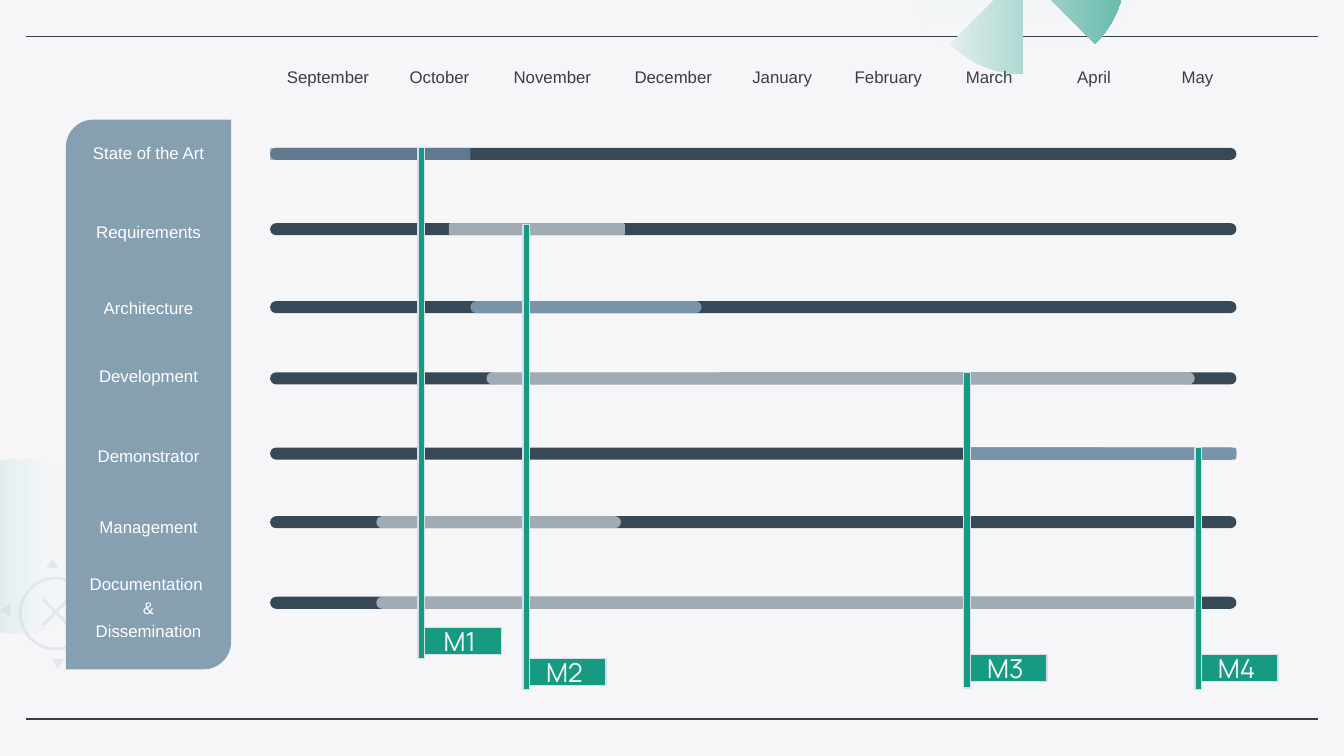
import math

import pptx
import pptx.dml.color
import pptx.enum.shapes
import pptx.enum.text
import pptx.oxml
import pptx.oxml.ns
import pptx.util
from pptx.dml.color import RGBColor
from pptx.util import Inches

SHAPE = pptx.enum.shapes.MSO_SHAPE
ANCHOR = pptx.enum.text.MSO_ANCHOR
BACKGROUND = RGBColor(0xF6, 0xF6, 0xF8)
INK = RGBColor(0x35, 0x3F, 0x49)
WHITE = RGBColor(0xFF, 0xFF, 0xFF)
CARD = RGBColor(0x86, 0x9F, 0xB1)
TRACK = RGBColor(0x37, 0x49, 0x57)
BLUE = RGBColor(0x79, 0x94, 0xA9)
MIST = RGBColor(0xD7, 0xDF, 0xE5)
PALE = RGBColor(0xD6, 0xDE, 0xEB)
GREEN = RGBColor(0x16, 0x9B, 0x82)
MINT = RGBColor(0x68, 0xBA, 0xAC)

TRACK_LEFT, TRACK_RIGHT, BAR_HEIGHT = 2.01, 9.2, 0.09

MONTHS = [
    ("September", 2.44), ("October", 3.27), ("November", 4.11),
    ("December", 5.01), ("January", 5.82), ("February", 6.61),
    ("March", 7.36), ("April", 8.14), ("May", 8.91),
]
# name, label top, line spacing, bar top, start, end, colour, opacity, rounding
TASKS = [
    ("State of the Art", 1.06, 1, 1.1, 2.01, 3.5, BLUE, 65, 0.05),
    ("Requirements", 1.63, 1.15, 1.66, 3.34, 4.65, MIST, 66, 0.15),
    ("Architecture", 2.19, 1.15, 2.24, 3.5, 5.22, BLUE, 100, 0.5),
    ("Development", 2.72, 1, 2.77, 3.62, 8.89, MIST, 66, 0.5),
    ("Demonstrator", 3.29, 1.15, 3.33, 7.17, 9.2, BLUE, 100, 0.2),
    ("Management", 3.82, 1.15, 3.84, 2.8, 4.62, MIST, 66, 0.5),
    ("Documentation \n&\nDissemination", 4.25, 1.15, 4.44, 2.8, 8.93, MIST, 66, 0.5),
]
MILESTONES = [
    ("M1", 3.11, 1.1, 4.9, 4.67),
    ("M2", 3.89, 1.67, 5.13, 4.9),
    ("M3", 7.17, 2.77, 5.12, 4.87),
    ("M4", 8.89, 3.33, 5.13, 4.87),
]


def write(tf, text, size=9, font="Arial", color=INK, spacing=1, after=0, inset=0,
          anchor=ANCHOR.TOP, wrap=True):
    tf.word_wrap = wrap
    tf.vertical_anchor = anchor
    tf.margin_left = tf.margin_right = tf.margin_top = tf.margin_bottom = Inches(inset)
    p = tf.paragraphs[0]
    p.text = text
    p.alignment = pptx.enum.text.PP_ALIGN.CENTER
    p.line_spacing = spacing
    p.space_after = pptx.util.Pt(after)
    for r in p.runs:
        r.font.size = pptx.util.Pt(size)
        r.font.name = font
        r.font.color.rgb = color


def set_alpha(color_element, percent):
    alpha = pptx.oxml.parse_xml(
        f'<a:alpha {pptx.oxml.ns.nsdecls("a")} val="{percent * 1000}"/>')
    color_element.append(alpha)


class Gantt:
    def __init__(self, s):
        self.s = s
        s.background.fill.solid()
        s.background.fill.fore_color.rgb = BACKGROUND

    def rule(self, y):
        c = self.s.shapes.add_connector(
            pptx.enum.shapes.MSO_CONNECTOR.STRAIGHT,
            Inches(0.19), Inches(y), Inches(9.81), Inches(y))
        c.line.color.rgb = INK
        c.line.width = pptx.util.Pt(0.75)
        c._element.spPr.append(
            pptx.oxml.parse_xml(f'<a:effectLst {pptx.oxml.ns.nsdecls("a")}/>'))

    def shape(self, kind, x, y, w, h, color, opacity=100, adj=(), rotation=0, line=None):
        sp = self.s.shapes.add_shape(kind, Inches(x), Inches(y), Inches(w), Inches(h))
        sp.shadow.inherit = False
        sp.rotation = rotation
        for i, value in enumerate(adj):
            sp.adjustments[i] = value
        sp.fill.solid()
        sp.fill.fore_color.rgb = color
        if opacity < 100:
            set_alpha(sp._element.spPr.find(".//" + pptx.oxml.ns.qn("a:srgbClr")), opacity)
        if line is None:
            sp.line.fill.background()
        else:
            sp.line.color.rgb = line
            sp.line.width = pptx.util.Pt(0.75)
        return sp

    def gradient(self, sp, start, end, angle=0, alphas=(100, 100), end_at=1):
        sp.fill.gradient()
        sp.fill.gradient_angle = angle
        stops = sp.fill.gradient_stops
        stops[1].position = end_at
        elements = sp._element.spPr.findall(".//" + pptx.oxml.ns.qn("a:gs"))
        for stop, element, color, alpha in zip(stops, elements, (start, end), alphas):
            stop.color.rgb = color
            if alpha < 100:
                set_alpha(element[0], alpha)

    def glow(self, x, y, w, h, angle):
        sp = self.shape(SHAPE.OVAL, x, y, w, h, MINT)
        self.gradient(sp, MINT, WHITE, angle, (59, 0), 0.83)

    def fan(self, x, y, radius):
        fb = self.s.shapes.build_freeform(Inches(x), Inches(y), scale=1)
        for start in range(0, 360, 90):
            fb.move_to(Inches(x), Inches(y))
            arc = [math.radians(start + step) for step in range(0, 46, 3)]
            fb.add_line_segments(
                [(Inches(x + radius * math.cos(a)), Inches(y + radius * math.sin(a)))
                 for a in arc])
        sp = fb.convert_to_shape()
        sp.shadow.inherit = False
        sp.line.fill.background()
        self.gradient(sp, BACKGROUND, MINT)

    def compass(self):
        self.shape(SHAPE.MATH_PLUS, 0.23, 4.37, 0.37, 0.37, PALE, 61, (0.058,), 315)
        self.shape(SHAPE.DONUT, 0.14, 4.29, 0.55, 0.55, PALE, 61, (0.04,))
        for x, y, rotation in ((0.04, 4.54, 270), (0.39, 4.19, 0), (0.43, 4.94, 180)):
            self.shape(SHAPE.ISOSCELES_TRIANGLE, x - 0.045, y - 0.035, 0.09, 0.07,
                       PALE, 61, rotation=rotation)

    def label(self, text, x, y, w, h, **style):
        tb = self.s.shapes.add_textbox(Inches(x), Inches(y), Inches(w), Inches(h))
        write(tb.text_frame, text, **style)

    def bar(self, start, end, y, color, opacity=100, rounding=0.5):
        self.shape(SHAPE.ROUNDED_RECTANGLE, start, y, end - start, BAR_HEIGHT,
                   color, opacity, (rounding,))

    def milestone(self, name, x, top, bottom, flag_top):
        flag = self.shape(SHAPE.RECTANGLE, x, flag_top, 0.62, 0.2, GREEN, line=PALE)
        write(flag.text_frame, name, size=14, font="Manrope", color=BACKGROUND,
              inset=0.1, anchor=ANCHOR.MIDDLE)
        self.shape(SHAPE.RECTANGLE, x, top, 0.05, bottom - top, GREEN, line=PALE)


def main():
    prs = pptx.Presentation()
    prs.slide_width = Inches(10)
    prs.slide_height = prs.slide_width * 9 // 16
    g = Gantt(prs.slides.add_slide(prs.slide_layouts[6]))
    for y in (0.27, 5.35):
        g.rule(y)
    g.compass()
    g.glow(-0.51, 3.42, 1.29, 1.29, 0)
    g.glow(6.76, -0.97, 1.68, 1.53, 270)
    g.fan(7.61, -0.21, 0.76)
    g.shape(SHAPE.ROUND_2_DIAG_RECTANGLE, 0.49, 0.89, 1.23, 4.09, CARD, adj=(0.167, 0))
    for month, center in MONTHS:
        g.label(month, center - 0.6, 0.5, 1.2, 0.34, after=16)
    for name, top, spacing, y, start, end, color, opacity, rounding in TASKS:
        height = 0.84 if "\n" in name else 0.39
        g.label(name, 0.49, top, 1.23, height, color=WHITE, spacing=spacing)
        g.bar(TRACK_LEFT, TRACK_RIGHT, y, TRACK)
        g.bar(start, end, y, color, opacity, rounding)
    for milestone in MILESTONES:
        g.milestone(*milestone)
    prs.save("out.pptx")


if __name__ == "__main__":
    main()
